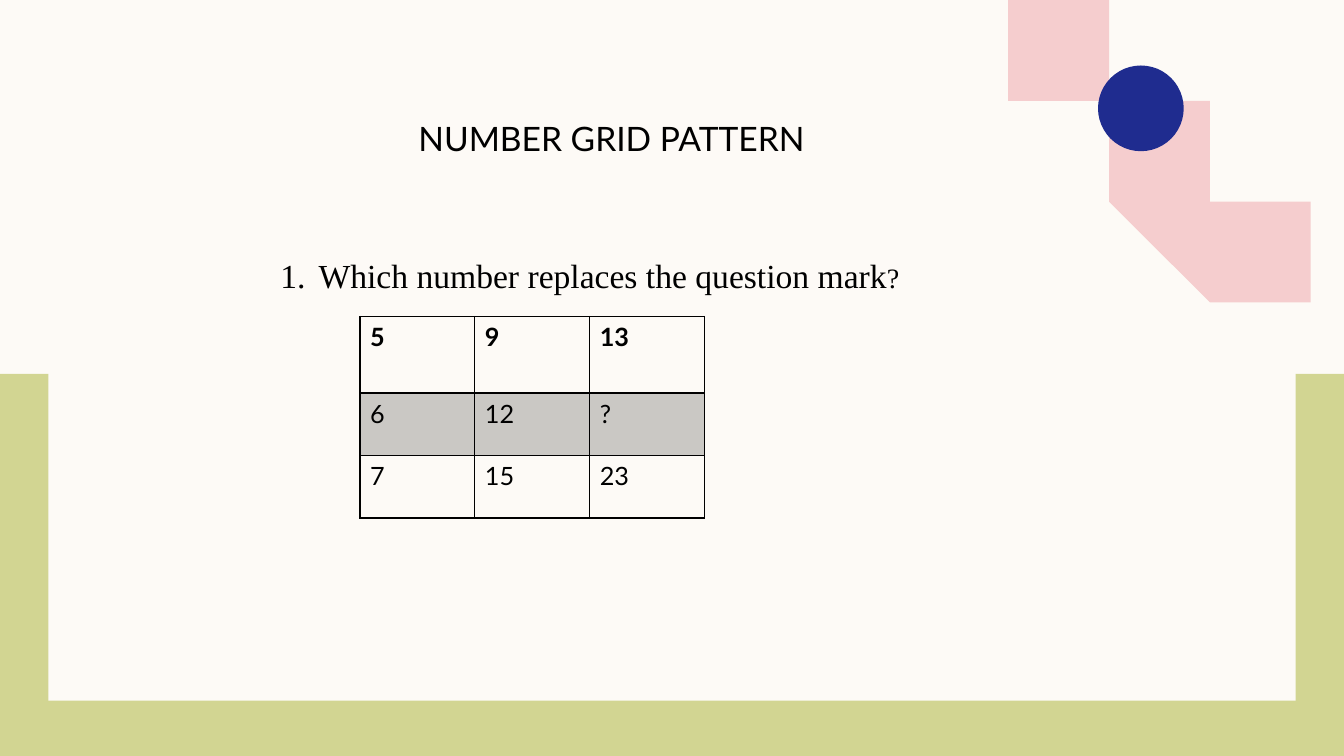
from dataclasses import dataclass
from math import cos, pi, sin

from lxml.etree import SubElement
from pptx import Presentation
from pptx.dml.color import RGBColor as Rgb
from pptx.enum.shapes import MSO_SHAPE as Preset
from pptx.enum.text import MSO_ANCHOR as Anchor, MSO_AUTO_SIZE as AutoSize, PP_ALIGN as Align
from pptx.oxml.ns import qn
from pptx.util import Inches, Pt


@dataclass(frozen=True)
class Theme:
    cream: str = "FDFAF6"
    green: str = "D2D592"
    pink: str = "F5CDCE"
    navy: str = "1F2C8F"
    black: str = "000000"
    sans: str = "Lato"
    serif: str = "Times New Roman"
    heading: int = 24
    mark: int = 20
    cell: int = 18


THEME = Theme()
WIDTH, HEIGHT = 13.33, 7.5


def write(para, text, *, size, font, bold=False, color=THEME.black):
    para.alignment = Align.LEFT
    para.space_before = Pt(0)
    span = para.add_run()
    span.text = text
    span.font.size = Pt(size)
    span.font.name = font
    span.font.bold = bold
    span.font.color.rgb = Rgb.from_string(color)


def paint(shape, color):
    shape.shadow.inherit = False
    shape.fill.solid()
    shape.fill.fore_color.rgb = Rgb.from_string(color)
    shape.line.fill.background()


def add_preset(page, preset, box, color):
    paint(page.shapes.add_shape(preset, *map(Inches, box)), color)


def add_frame(page, box):
    left, top, width, height = box
    side, base = 0.48, 0.55
    add_preset(page, Preset.RECTANGLE, box, THEME.green)
    panel = (left + side, 0.36, width - 2 * side, top + height - base - 0.36)
    add_preset(page, Preset.RECTANGLE, panel, THEME.cream)


def add_corner_ring(page, box):
    left, top, width, height = box
    steps, band = 60, 0.95

    def arc(inset):
        return [
            (left + width - (width - inset) * cos(step * pi / 2 / steps),
             top + (height - inset) * sin(step * pi / 2 / steps))
            for step in range(steps + 1)
        ]

    start, *rest = arc(0) + arc(band)[::-1]
    outline = page.shapes.build_freeform(*start, scale=Inches(1))
    outline.add_line_segments(rest, close=True)
    paint(outline.convert_to_shape(), THEME.pink)
    add_preset(page, Preset.OVAL, (left + 0.66, top + 0.65, 0.85, 0.85), THEME.navy)


def place_text(page, holder, box):
    page.shapes.element.append(holder.element)
    holder.left, holder.top, holder.width, holder.height = map(Inches, box)
    frame = holder.text_frame
    frame.word_wrap = True
    frame.auto_size = AutoSize.NONE
    frame.vertical_anchor = Anchor.TOP
    return frame.paragraphs[0]


def add_title(page, box):
    para = place_text(page, page.shapes.title, box)
    write(para, "NUMBER GRID PATTERN", size=THEME.heading, font=THEME.sans)


def add_question(page, box):
    para = place_text(page, page.placeholders[1], box)
    write(para, "Which number replaces the question mark", size=THEME.heading, font=THEME.serif)
    write(para, "?", size=THEME.mark, font=THEME.serif)
    props = para._p.get_or_add_pPr()
    props.set("marL", str(Inches(0.38)))
    props.set("indent", str(Inches(-0.38)))
    SubElement(props, qn("a:buFont"), typeface=THEME.serif)
    SubElement(props, qn("a:buAutoNum"), type="arabicPeriod")


def add_border(cell, side, weight):
    line = SubElement(cell._tc.get_or_add_tcPr(), qn(f"a:ln{side}"), w=str(Pt(weight)))
    SubElement(SubElement(line, qn("a:solidFill")), qn("a:srgbClr"), val=THEME.black)


def style_cell(cell, row):
    weights = {"L": 1, "R": 1, "T": 2 if row == 1 else 1, "B": 2 if row == 0 else 1}
    for side, weight in weights.items():
        add_border(cell, side, weight)
    if row == 1:
        cell.fill.solid()
        cell.fill.fore_color.rgb = Rgb.from_string(THEME.black)
        color = cell._tc.tcPr.find(qn("a:solidFill")).find(qn("a:srgbClr"))
        SubElement(color, qn("a:alpha"), val="20000")
    else:
        cell.fill.background()


def add_number_grid(page, box):
    numbers = (("5", "9", "13"), ("6", "12", "?"), ("7", "15", "23"))
    grid = page.shapes.add_table(3, 3, *map(Inches, box)).table
    grid.first_row = grid.horz_banding = False
    for row, height in enumerate((0.76, 0.62, 0.62)):
        grid.rows[row].height = Inches(height)
        for column, number in enumerate(numbers[row]):
            cell = grid.cell(row, column)
            style_cell(cell, row)
            write(cell.text_frame.paragraphs[0], number,
                  size=THEME.cell, font=THEME.sans, bold=row == 0)


def main():
    deck = Presentation()
    deck.slide_width, deck.slide_height = Inches(WIDTH), Inches(HEIGHT)
    page = deck.slides.add_slide(deck.slide_layouts[1])
    page.background.fill.solid()
    page.background.fill.fore_color.rgb = Rgb.from_string(THEME.cream)
    add_frame(page, (0, 3.71, WIDTH, HEIGHT - 3.71))
    add_corner_ring(page, (10.23, 0, 3.1, 3.13))
    add_title(page, (4.05, 1.12, 4.74, 0.5))
    add_question(page, (2.68, 2.48, 7.23, 1.14))
    add_number_grid(page, (3.57, 3.14, 3.42, 2))
    deck.save("out.pptx")


if __name__ == "__main__":
    main()
